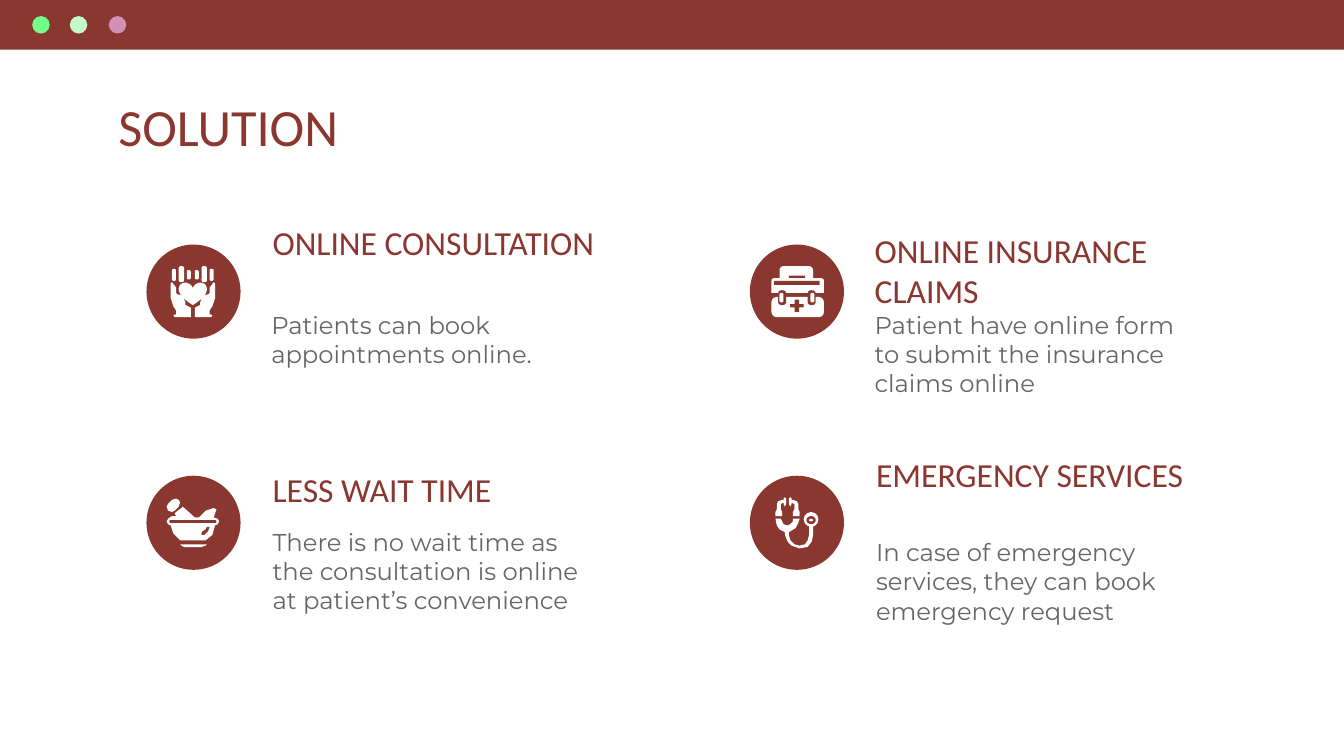
import pptx
import pptx.util
import pptx.dml.color
import pptx.enum.shapes
import pptx.enum.text

Inches = pptx.util.Inches
SHAPE = pptx.enum.shapes.MSO_SHAPE

COLORS = {"brand": "8A3730", "white": "FFFFFF", "body": "666666"}
DOTS = ["72FF89", "C4F8CC", "D190B5"]
DOT_LEFTS = [0.24, 0.52, 0.81]
WIDTH = 10
CIRCLE = 0.7

# Icon parts: (kind, colour, geometry) in hundredths of an inch from the circle's corner
# Preset geometry is left, top, width, height; outline geometry is a list of points
HAND = [(50, 28), (47, 32), (47, 36), (46, 37), (42, 38), (40, 43), (40, 45), (38, 46),
        (36, 47), (36, 54), (48, 54), (49, 53), (48, 52), (47, 52), (47, 49), (49, 46),
        (51, 40), (51, 29)]
EARPIECE = [(30, 16), (29, 17), (29, 21), (30, 23), (31, 21), (31, 20), (33, 21), (33, 25),
            (32, 27), (32, 30), (37, 30), (37, 27), (36, 25), (36, 21), (35, 19), (32, 18),
            (31, 18), (31, 17)]
TUBE = [(19, 32), (23, 32), (25, 36), (28, 37), (30, 36), (32, 34), (32, 32), (37, 32),
        (36, 35), (34, 39), (29, 42), (29, 44), (30, 48), (33, 51), (37, 52), (41, 51),
        (43, 48), (44, 44), (44, 37), (47, 37), (47, 44), (46, 49), (43, 53), (37, 54),
        (31, 52), (28, 49), (26, 44), (26, 42), (22, 40), (20, 37)]
BOWL = [(27, 23), (26, 24), (22, 27), (21, 28), (22, 30), (19, 30), (16, 32), (15, 34),
        (16, 36), (18, 37), (20, 43), (25, 48), (44, 48), (49, 44), (51, 37), (53, 36),
        (54, 34), (53, 32), (50, 31), (52, 25), (50, 24), (44, 26), (39, 31), (36, 31)]
PESTLE = [(22, 17), (19, 18), (16, 21), (15, 23), (16, 26), (19, 27), (21, 26), (24, 23),
          (25, 20), (24, 18)]
GLEAM = [(47, 38), (45, 38), (44, 40), (41, 42), (41, 44), (43, 44), (46, 41)]
FOOT = [(25, 51), (45, 51), (44, 52), (41, 53), (28, 53), (26, 52)]
FINGERS = [(19, 18, 3, 9), (24, 16, 4, 12), (30, 19, 3, 7),
           (36, 19, 3, 7), (41, 16, 4, 12), (47, 18, 3, 9)]


def mirror(points, total):
    return [(total - x, y) for x, y in points]


ROUND, OVAL, RECT = SHAPE.ROUNDED_RECTANGLE, SHAPE.OVAL, SHAPE.RECTANGLE
HANDS_ICON = [(ROUND, "white", finger) for finger in FINGERS] + [
    (SHAPE.HEART, "white", (24, 28, 21, 17)),
    ("outline", "white", HAND),
    ("outline", "white", mirror(HAND, 69)),
]
KIT_ICON = [
    (ROUND, "white", (22, 16, 25, 12)),
    (RECT, "brand", (29, 23, 12, 2)),
    (SHAPE.ROUND_2_SAME_RECTANGLE, "white", (16, 25, 39, 11)),
    (RECT, "brand", (18, 27, 34, 3)),
    (ROUND, "white", (16, 39, 39, 15)),
    (SHAPE.CROSS, "brand", (30, 41, 10, 9)),
    (ROUND, "brand", (21, 34, 6, 11)),
    (ROUND, "brand", (43, 34, 6, 11)),
    (ROUND, "white", (22, 36, 3, 7)),
    (ROUND, "white", (45, 36, 3, 7)),
]
MORTAR_ICON = [
    ("outline", "white", BOWL),
    (ROUND, "brand", (17, 33, 35, 2)),
    ("outline", "brand", GLEAM),
    ("outline", "white", PESTLE),
    ("outline", "white", FOOT),
]
STETHOSCOPE_ICON = [
    ("outline", "white", EARPIECE),
    ("outline", "white", mirror(EARPIECE, 56)),
    ("outline", "white", TUBE),
    (OVAL, "white", (40, 27, 11, 11)),
    (OVAL, "brand", (42, 30, 7, 6)),
    (OVAL, "white", (44, 32, 3, 2)),
]

# Circle corner, heading and its box, body and its box, icon
SOLUTIONS = [
    ((1.09, 1.82), "ONLINE CONSULTATION", (1.93, 1.55, 2.64, 0.64),
     "Patients can book appointments online.", (1.92, 2.21, 2.49, 0.83), HANDS_ICON),
    ((5.58, 1.82), "ONLINE INSURANCE CLAIMS", (6.41, 1.61, 2.64, 0.7),
     "Patient have online form to submit the insurance claims online",
     (6.41, 2.21, 2.49, 0.83), KIT_ICON),
    ((1.09, 3.54), "LESS WAIT TIME", (1.93, 3.39, 2.49, 0.51),
     "There is no wait time as the consultation is online at patient’s convenience",
     (1.93, 3.82, 2.49, 0.76), MORTAR_ICON),
    ((5.58, 3.54), "EMERGENCY SERVICES", (6.42, 3.28, 2.61, 0.62),
     "In case of emergency services, they can book emergency request",
     (6.42, 3.9, 2.49, 0.76), STETHOSCOPE_ICON),
]


def rgb(color):
    return pptx.dml.color.RGBColor.from_string(color)


def paint(shape, color):
    shape.shadow.inherit = False
    shape.fill.solid()
    shape.fill.fore_color.rgb = rgb(color)
    shape.line.fill.background()


def add_preset(shapes, kind, area, color):
    shape = shapes.add_shape(kind, *map(Inches, area))
    paint(shape, color)
    return shape


def add_outline(shapes, points, corner, color):
    builder = shapes.build_freeform(*points[0], scale=Inches(0.01))
    builder.add_line_segments(points[1:], close=True)
    paint(builder.convert_to_shape(*map(Inches, corner)), color)


def add_icon(page, corner, parts):
    shapes = page.shapes.add_group_shape().shapes
    left, top = corner
    for kind, color, geometry in parts:
        if kind == "outline":
            add_outline(shapes, geometry, corner, COLORS[color])
            continue
        x, y, width, height = (value / 100 for value in geometry)
        shape = add_preset(shapes, kind, (left + x, top + y, width, height), COLORS[color])
        if kind == ROUND:
            shape.adjustments[0] = 0.4 if min(width, height) < 0.1 else 0.25
        elif kind == SHAPE.CROSS:
            shape.adjustments[0] = 0.37


def write(box, text, area, font, size, color, after=0):
    box.left, box.top, box.width, box.height = map(Inches, area)
    frame = box.text_frame
    frame.word_wrap = True
    frame.auto_size = pptx.enum.text.MSO_AUTO_SIZE.NONE
    frame.vertical_anchor = pptx.enum.text.MSO_ANCHOR.TOP
    frame.margin_left = frame.margin_right = Inches(0.1)
    frame.margin_top = frame.margin_bottom = Inches(0.1)
    para = frame.paragraphs[0]
    para.text = text
    para.alignment = pptx.enum.text.PP_ALIGN.LEFT
    para.space_after = pptx.util.Pt(after)
    para.font.name = font
    para.font.size = pptx.util.Pt(size)
    para.font.color.rgb = rgb(color)


def main():
    # Widescreen page, 16 by 9
    deck = pptx.Presentation()
    deck.slide_width, deck.slide_height = Inches(WIDTH), Inches(WIDTH * 9 / 16)
    page = deck.slides.add_slide(deck.slide_layouts[5])

    # Top bar with dots
    add_preset(page.shapes, RECT, (0, 0, WIDTH, 0.37), COLORS["brand"])
    for left, color in zip(DOT_LEFTS, DOTS):
        add_preset(page.shapes, OVAL, (left, 0.12, 0.13, 0.13), color)

    # Title
    write(page.shapes.title, "SOLUTION", (0.78, 0.6, 8.44, 0.51),
          "Calibri", 28, COLORS["brand"])

    # Solutions: circle, icon, heading and body
    for corner, heading, heading_area, body, body_area, icon in SOLUTIONS:
        add_preset(page.shapes, OVAL, (*corner, CIRCLE, CIRCLE), COLORS["brand"])
        add_icon(page, corner, icon)
        write(page.shapes.add_textbox(0, 0, 0, 0), heading, heading_area,
              "Calibri", 18, COLORS["brand"])
        write(page.shapes.add_textbox(0, 0, 0, 0), body, body_area,
              "Montserrat", 13, COLORS["body"], after=12)

    deck.save("out.pptx")


if __name__ == "__main__":
    main()
